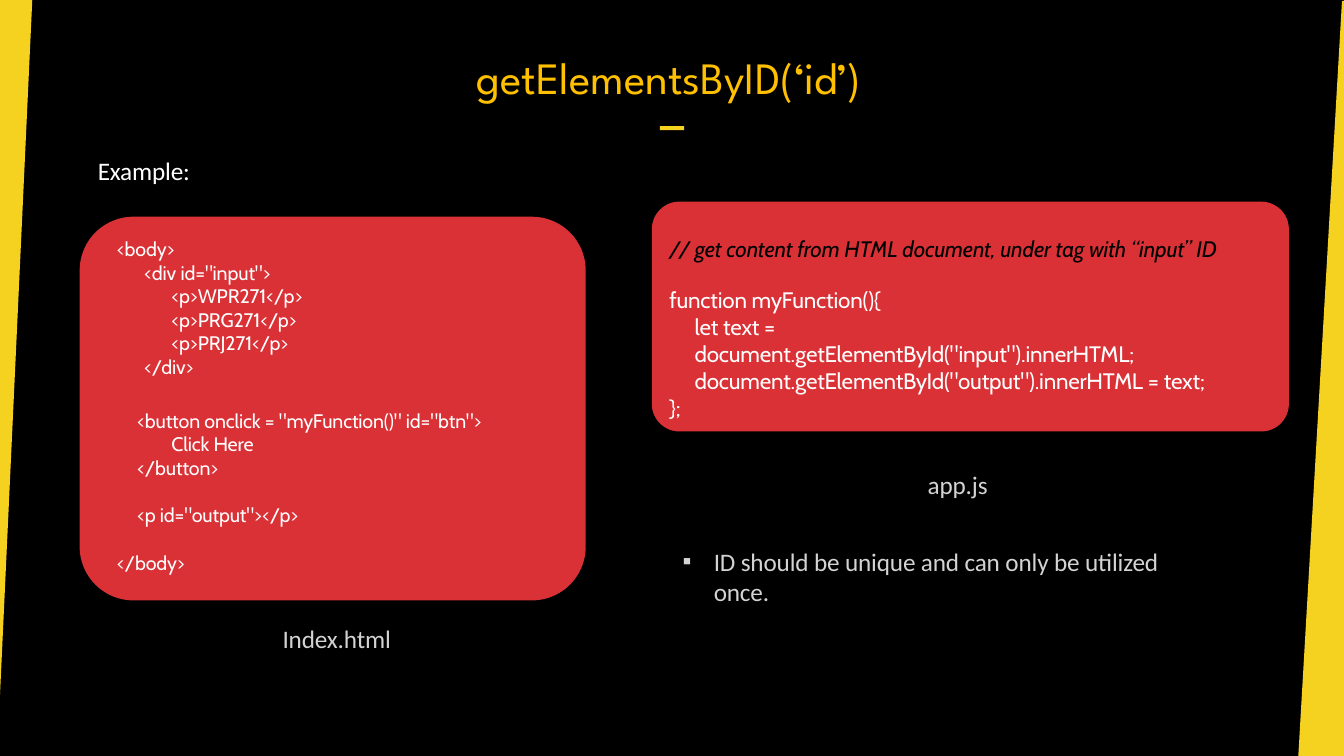
"""Build a slide that shows getElementById with an HTML and a JavaScript listing."""
from lxml import etree
from pptx import Presentation
from pptx.dml.color import RGBColor
from pptx.enum.shapes import MSO_SHAPE
from pptx.enum.text import MSO_ANCHOR, MSO_AUTO_SIZE, PP_ALIGN
from pptx.oxml.ns import qn
from pptx.util import Inches, Pt

LEFT, CENTER = PP_ALIGN.LEFT, PP_ALIGN.CENTER
TOP, NO_FIT = MSO_ANCHOR.TOP, MSO_AUTO_SIZE.NONE
RECTANGLE, ROUNDED = MSO_SHAPE.RECTANGLE, MSO_SHAPE.ROUNDED_RECTANGLE

THEME = {
    "back": "000000",
    "accent": "F5D120",
    "card": "DA3136",
    "title": {"name": "League Spartan", "size": Pt(32), "color": "FFC000"},
    "lead": {"name": "Calibri", "size": Pt(18), "color": "FFFFFF"},
    "note": {"name": "Calibri", "size": Pt(18), "color": "D3D3D3"},
    "html": {"name": "Cabin", "size": Pt(14), "color": "FFFFFF"},
    "script": {"name": "Cabin", "size": Pt(16), "color": "FFFFFF"},
    "comment": {"name": "Cabin", "size": Pt(16), "color": "000000", "italic": True},
}

deck = Presentation()
deck.slide_width, deck.slide_height = Inches(13.33), Inches(7.5)
page = deck.slides.add_slide(deck.slide_layouts[3])
page.background.fill.solid()
page.background.fill.fore_color.rgb = RGBColor.from_string(THEME["back"])
title, html_text, script_text = page.placeholders


def share(*percents):
    """Turn alternating horizontal and vertical percentages into lengths."""
    sides = (deck.slide_width, deck.slide_height)
    return [round(sides[i % 2] * value / 100) for i, value in enumerate(percents)]


def write(box, lines):
    """Fill a box with (text, style, indent, space before, alignment, bullet) lines."""
    frame = box.text_frame
    for i, (text, style, indent, before, align, bullet) in enumerate(lines):
        para = frame.add_paragraph() if i else frame.paragraphs[0]
        para.text = text
        para.alignment = align
        para.space_before, para.space_after = Pt(before), Pt(0)
        layout = para._p.get_or_add_pPr()
        layout.set("marL", str(Inches(indent)))
        layout.set("indent", str(Inches(-0.31 if bullet else 0)))
        if bullet:
            etree.SubElement(layout, qn("a:buChar")).set("char", bullet)
        else:
            etree.SubElement(layout, qn("a:buNone"))
        for span in para.runs:
            for name, value in THEME[style].items():
                if name == "color":
                    span.font.color.rgb = RGBColor.from_string(value)
                else:
                    setattr(span.font, name, value)
            if style != "title":
                span._r.get_or_add_rPr().set("spc", "-10")


wedges = [
    [(0, 0), (2.4, 0), (0, 91.9)],
    [(99.85, 0.13), (100, 0.13), (100, 100), (96.6, 100)],
]
panels = []
for corners in wedges:
    points = [share(*corner) for corner in corners]
    outline = page.shapes.build_freeform(*points[0])
    outline.add_line_segments(points[1:], close=True)
    panels.append((outline.convert_to_shape(), "accent"))

dash = page.shapes.add_shape(RECTANGLE, *share(49.1, 16.7, 1.8, 0.53))
panels.append((dash, "accent"))

cards = [
    ((48.5, 26.67, 47.4, 30.4), 0.12),
    ((5.93, 28.67, 37.65, 50.75), 0.14),
]
for area, rounding in cards:
    card = page.shapes.add_shape(ROUNDED, *share(*area))
    card.adjustments[0] = rounding
    panels.append((card, "card"))

for panel, color in panels:
    panel.shadow.inherit = False
    panel.fill.solid()
    panel.fill.fore_color.rgb = RGBColor.from_string(THEME[color])
    panel.line.fill.background()
    title.element.addprevious(panel.element)

text_areas = [
    (title, (24.3, 6.5, 50.9, 7.3)),
    (html_text, (7.2, 20.4, 37.2, 60.3)),
    (script_text, (49.73, 30.93, 43.05, 43.1)),
]
frame_format = {
    "margin_left": 0,
    "margin_right": 0,
    "margin_top": Inches(0.01),
    "margin_bottom": 0,
    "vertical_anchor": TOP,
    "auto_size": NO_FIT,
    "word_wrap": True,
}
for box, area in text_areas:
    box.left, box.top, box.width, box.height = share(*area)
    for name, value in frame_format.items():
        setattr(box.text_frame, name, value)

write(title, [("getElementsByID(‘id’)", "title", 0.01, 1.1, CENTER, None)])

html_lines = [
    ("<body>", 0.2, 37),
    ('<div id="input">', 0.47, 0),
    ("<p>WPR271</p>", 0.74, 0),
    ("<p>PRG271</p>", 0.74, 0),
    ("<p>PRJ271</p>", 0.74, 0),
    ("</div>", 0.47, 0),
    ('<button onclick = "myFunction()" id="btn">', 0.4, 21.6),
    ("Click Here", 0.74, 0),
    ("</button>", 0.4, 0),
    ('<p id="output"></p>', 0.4, 17),
    ("</body>", 0.2, 17),
]
write(html_text, [("Example:", "lead", 0.01, 1, LEFT, None)] + [
    (text, "html", indent, before, LEFT, None) for text, indent, before in html_lines
])

write(script_text, [
    ("// get content from HTML document, under tag with “input” ID",
     "comment", 0.01, 0.9, LEFT, None),
    ("function myFunction(){", "script", 0.01, 17.6, LEFT, None),
    ('let text =\vdocument.getElementById("input").innerHTML;\v'
     'document.getElementById("output").innerHTML = text;',
     "script", 0.26, 0, LEFT, None),
    ("};", "script", 0.01, 0, LEFT, None),
    ("app.js", "note", 0, 35, CENTER, None),
    ("ID should be unique and can only be utilized\vonce.", "note", 0.45, 33, LEFT, "▪"),
])

caption = page.shapes.add_textbox(*share(18.6, 81.73, 11.33, 5.33))
caption.text_frame.word_wrap = False
write(caption, [("Index.html", "note", 0.21, 0, CENTER, None)])

deck.save("out.pptx")
